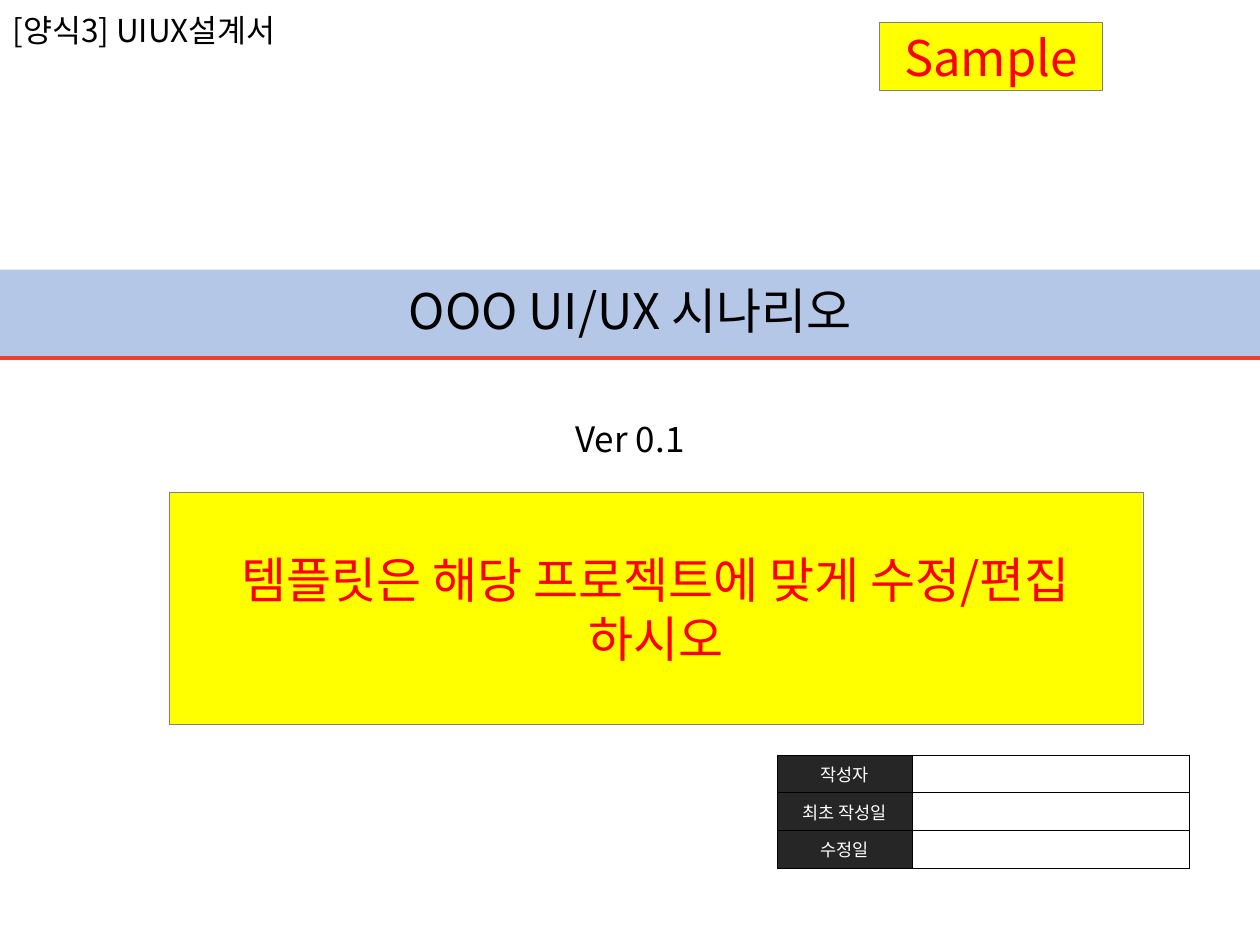
import pptx
import pptx.util
import pptx.dml.color
import pptx.enum.shapes
import pptx.enum.text
import pptx.oxml
import pptx.oxml.ns
from pptx.util import Inches

FONT = "Noto Sans CJK KR"
ALIGN = pptx.enum.text.PP_ALIGN
ANCHOR = pptx.enum.text.MSO_ANCHOR
SHAPE = pptx.enum.shapes.MSO_SHAPE
LINK = pptx.enum.shapes.MSO_CONNECTOR
SIDES = ("L", "R", "T", "B")


def tint(code):
    """Turn a hex string into a colour."""
    return pptx.dml.color.RGBColor.from_string(code)


def node(parent, tag, **attrs):
    """Append an XML child and return it."""
    child = pptx.oxml.xmlchemy.OxmlElement(tag)
    for key, val in attrs.items():
        child.set(key, val)
    parent.append(child)
    return child


def write(frame, text, size=18, color="000000", align=ALIGN.CENTER,
          anchor=ANCHOR.MIDDLE, space=None, before=None):
    """Put one formatted paragraph into a text frame."""
    frame.word_wrap = True
    frame.auto_size = pptx.enum.text.MSO_AUTO_SIZE.NONE
    frame.vertical_anchor = anchor
    para = frame.paragraphs[0]
    para.alignment = align
    if space is not None:
        para.line_spacing = space
    if before is not None:
        para.space_before = pptx.util.Pt(before)
    run = para.add_run()
    run.text = text
    run.font.size = pptx.util.Pt(size)
    run.font.color.rgb = tint(color)
    run.font.name = FONT
    node(run.font._element, "a:ea", typeface=FONT)


def place(shape, box):
    """Move a shape to a box given in inches."""
    shape.left, shape.top, shape.width, shape.height = map(Inches, box)


def block(slide, box, fill, line=None):
    """Draw a flat rectangle."""
    shape = slide.shapes.add_shape(SHAPE.RECTANGLE, *map(Inches, box))
    shape.shadow.inherit = False
    shape.fill.solid()
    shape.fill.fore_color.rgb = tint(fill)
    if line:
        shape.line.color.rgb = tint(line)
        shape.line.width = pptx.util.Pt(0.25)
    else:
        shape.line.fill.background()
    return shape


def banner(slide, box, text):
    """Draw the title band with its red rule and the title."""
    left, top, width, height = box
    band = block(slide, box, "B4C7E7")
    base = Inches(top + height)
    rule = slide.shapes.add_connector(
        LINK.STRAIGHT, Inches(left), base, Inches(left + width), base)
    rule.line.color.rgb = tint("EF402D")
    rule.line.width = pptx.util.Pt(2.25)
    node(rule._element.spPr, "a:effectLst")
    title = slide.shapes.title
    for part in (band, rule):
        title.element.addprevious(part.element)
    place(title, (left + 0.75, top, width - 1.5, height))
    write(title.text_frame, text, size=28, space=0.9)


def version(slide, box, text):
    """Fill the subtitle placeholder."""
    sub = slide.placeholders[1]
    place(sub, box)
    write(sub.text_frame, text, size=20, anchor=ANCHOR.TOP,
          space=0.9, before=10)


def notice(slide, box, text):
    """Draw a yellow box with red text."""
    shape = block(slide, box, "FFFF00", "808080")
    write(shape.text_frame, text, size=28, color="FF0000")


def label(slide, box, text):
    """Write the form name in the corner."""
    shape = slide.shapes.add_textbox(*map(Inches, box))
    shape.text_frame.margin_right = Inches(0.2)
    write(shape.text_frame, text, align=ALIGN.LEFT, anchor=ANCHOR.TOP)


def paint(cell, fill):
    """Give a cell thin black borders and a fill."""
    props = cell._tc.get_or_add_tcPr()
    for side in SIDES:
        edge = node(props, "a:ln" + side, w="3175")
        node(node(edge, "a:solidFill"), "a:srgbClr", val="000000")
    cell.fill.solid()
    cell.fill.fore_color.rgb = tint(fill)
    cell.vertical_anchor = ANCHOR.MIDDLE


def record(slide, box, names, first):
    """Build the table of author and dates."""
    table = slide.shapes.add_table(len(names), 2, *map(Inches, box)).table
    table.columns[0].width = Inches(first)
    table.columns[1].width = Inches(box[2] - first)
    for row, name in enumerate(names):
        head, blank = table.cell(row, 0), table.cell(row, 1)
        paint(head, "262626")
        paint(blank, "FFFFFF")
        write_cell(head, name)
        blank.text_frame.paragraphs[0].font.size = pptx.util.Pt(10)
        end = node(blank.text_frame.paragraphs[0]._p, "a:endParaRPr",
                   sz="1000")
        node(end, "a:latin", typeface=FONT)
        node(end, "a:ea", typeface=FONT)


def write_cell(cell, text):
    """Write a white row heading."""
    write(cell.text_frame, text, size=10, color="FFFFFF")
    cell.vertical_anchor = ANCHOR.MIDDLE


def cover(deck):
    """Build the cover slide."""
    slide = deck.slides.add_slide(deck.slide_layouts[0])
    banner(slide, (0, 2.14, 10, 0.7), "OOO UI/UX 시나리오")
    version(slide, (1.25, 3.3, 7.5, 0.48), "Ver 0.1")
    record(slide, (6.17, 5.99, 3.27, 0.8),
           ("작성자", "최초 작성일", "수정일"), 1.07)
    notice(slide, (6.98, 0.18, 1.77, 0.54), "Sample")
    notice(slide, (1.34, 3.91, 7.73, 1.84),
           "템플릿은 해당 프로젝트에 맞게 수정/편집 하시오")
    label(slide, (0, 0.04, 2.42, 0.4), "[양식3] UIUX설계서")


deck = pptx.Presentation()
deck.slide_width, deck.slide_height = Inches(10), Inches(7.5)
cover(deck)
deck.save("out.pptx")
